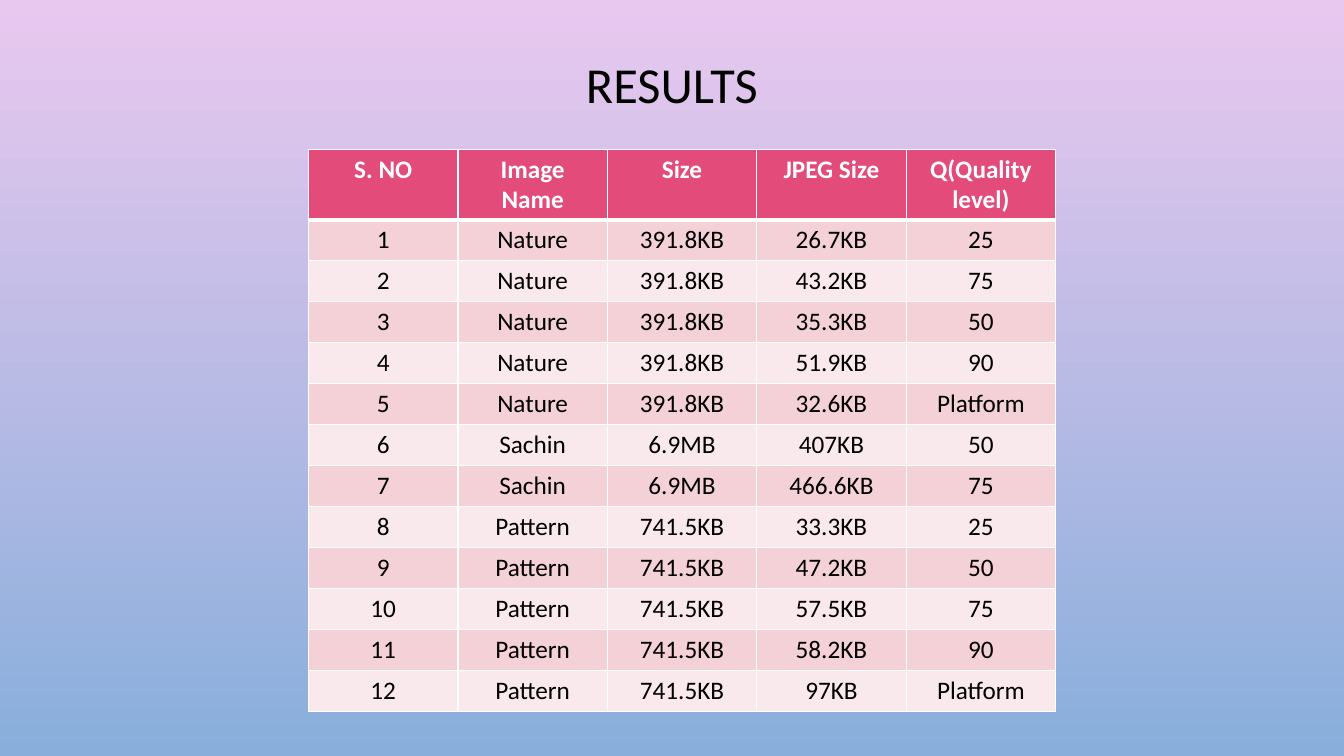
import pptx
import pptx.util
import pptx.dml.color
import pptx.enum.text
import pptx.oxml
import pptx.oxml.ns

RGB = pptx.dml.color.RGBColor
PINK = RGB(0xE9, 0xC8, 0xEF)
BLUE = RGB(0x89, 0xAE, 0xDB)
ROSE = RGB(0xE3, 0x4B, 0x7A)
BANDS = RGB(0xF4, 0xD0, 0xD7), RGB(0xFA, 0xE9, 0xEC)
WHITE = RGB(0xFF, 0xFF, 0xFF)
BLACK = RGB(0, 0, 0)

WIDE, HIGH = pptx.util.Inches(13.33), pptx.util.Inches(7.5)
HEADS = ["S. NO", "Image Name", "Size", "JPEG Size", "Q(Quality level)"]
GROUPS = [
    ("Nature", "391.8KB", [("26.7KB", "25"), ("43.2KB", "75"), ("35.3KB", "50"),
                           ("51.9KB", "90"), ("32.6KB", "Platform")]),
    ("Sachin", "6.9MB", [("407KB", "50"), ("466.6KB", "75")]),
    ("Pattern", "741.5KB", [("33.3KB", "25"), ("47.2KB", "50"), ("57.5KB", "75"),
                            ("58.2KB", "90"), ("97KB", "Platform")]),
]
HEAD_FONT = {"size": pptx.util.Pt(18), "name": "Calibri", "bold": True}
BODY_FONT = HEAD_FONT | {"bold": False}
TITLE_FONT = BODY_FONT | {"size": pptx.util.Pt(36)}


def share(left, top, width, height):
    """Turn shares of the slide into a box in EMU."""
    return int(left * WIDE), int(top * HIGH), int(width * WIDE), int(height * HIGH)


def write(frame, text, form, color):
    """Put one centred paragraph into a text frame."""
    para = frame.paragraphs[0]
    para.text = text
    para.alignment = pptx.enum.text.PP_ALIGN.CENTER
    for key, value in form.items():
        setattr(para.font, key, value)
    para.font.color.rgb = color
    return para


def edge(cell, widths):
    """Draw white cell borders; widths maps a side letter to points."""
    props = cell._tc.get_or_add_tcPr()
    for spot, (side, points) in enumerate(widths.items()):
        props.insert(spot, pptx.oxml.parse_xml(
            f'<a:ln{side} {pptx.oxml.ns.nsdecls("a")} w="{pptx.util.Pt(points)}">'
            f'<a:solidFill><a:srgbClr val="{WHITE}"/></a:solidFill></a:ln{side}>'))


def paint(slide):
    """Fill the background from pink at the top to blue at the foot."""
    fill = slide.background.fill
    fill.gradient()
    fill.gradient_angle = 270
    for stop, color in zip(fill.gradient_stops, (PINK, BLUE)):
        stop.color.rgb = color


def add_title(slide, box):
    frame = slide.shapes.add_textbox(*box).text_frame
    frame.word_wrap = True
    frame.vertical_anchor = pptx.enum.text.MSO_ANCHOR.MIDDLE
    write(frame, "RESULTS", TITLE_FONT, BLACK).line_spacing = 0.9


def add_results(slide, box):
    lines = [(name, size, *pair) for name, size, pairs in GROUPS for pair in pairs]
    rows = [HEADS] + [(str(num), *line) for num, line in enumerate(lines, 1)]
    table = slide.shapes.add_table(len(rows), len(HEADS), *box).table
    width, height = box[2:]
    for col in table.columns:
        col.width = width // len(HEADS)
    head = height // 8
    for r, row in enumerate(rows):
        table.rows[r].height = (height - head) // len(lines) if r else head
        for c, text in enumerate(row):
            cell = table.cell(r, c)
            cell.fill.solid()
            cell.fill.fore_color.rgb = BANDS[(r - 1) % 2] if r else ROSE
            write(cell.text_frame, text, BODY_FONT if r else HEAD_FONT,
                  BLACK if r else WHITE)
            edge(cell, {"L": 1, "R": 1, "T": 3 if r == 1 else 1, "B": 1 if r else 3})


def main():
    deck = pptx.Presentation()
    deck.slide_width, deck.slide_height = WIDE, HIGH
    slide = deck.slides.add_slide(deck.slide_layouts[6])
    paint(slide)
    add_title(slide, share(0.075, 0, 0.85, 0.23))
    add_results(slide, (pptx.util.Inches(3.06), pptx.util.Inches(1.48),
                        pptx.util.Inches(7.41), pptx.util.Inches(5.58)))
    deck.save("out.pptx")


if __name__ == "__main__":
    main()
